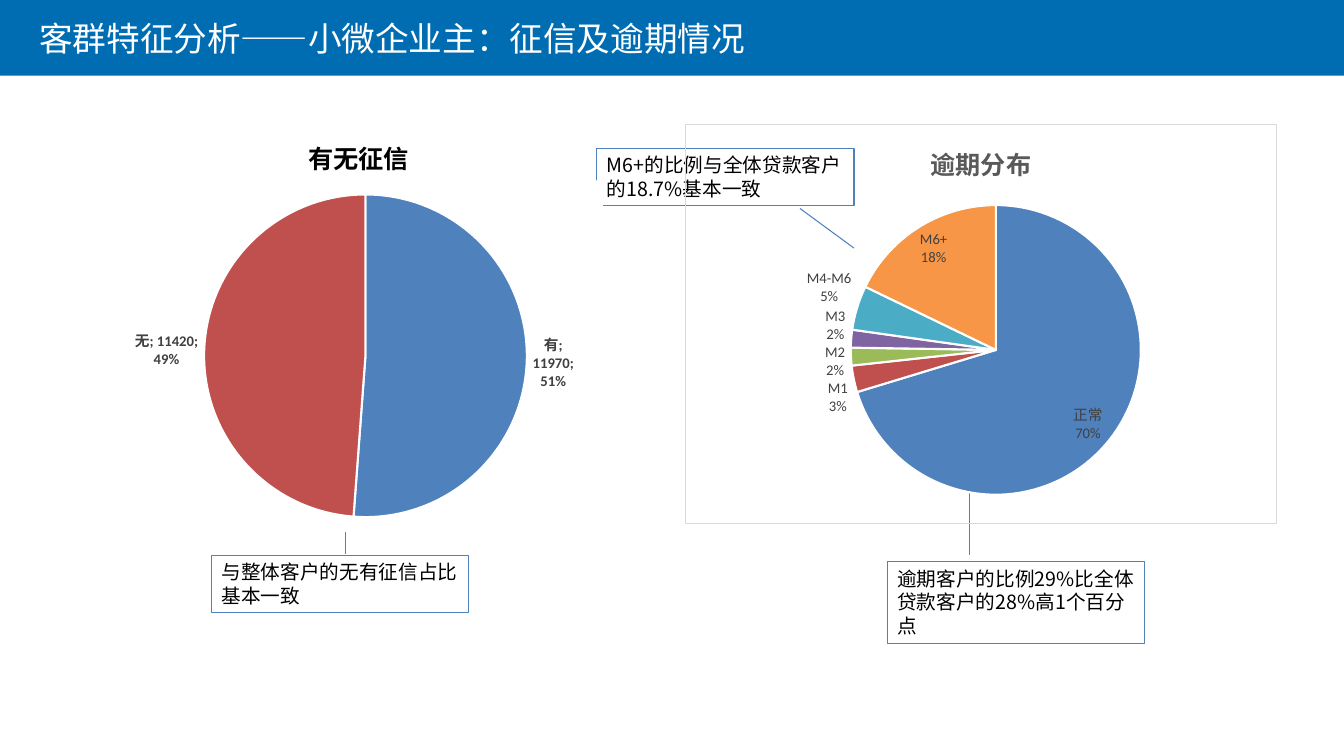
from dataclasses import dataclass

from lxml import etree
from pptx import Presentation
from pptx.chart.data import CategoryChartData
from pptx.dml.color import RGBColor
from pptx.enum.chart import XL_CHART_TYPE, XL_LABEL_POSITION
from pptx.enum.shapes import MSO_SHAPE
from pptx.enum.text import MSO_ANCHOR, PP_ALIGN
from pptx.oxml import parse_xml
from pptx.oxml.ns import nsdecls, qn
from pptx.util import Inches, Pt

CJK = "Noto Sans CJK SC"
LATIN = "Calibri"
COLORS = {
    "banner": "006DB2", "white": "FFFFFF", "black": "000000", "label": "404040",
    "title": "595959", "frame": "D9D9D9", "blue": "4F81BD", "red": "C0504D",
    "green": "9BBB59", "purple": "8064A2", "teal": "4BACC6", "orange": "F79646",
}
SLICES = ("blue", "red", "green", "purple", "teal", "orange")


@dataclass(frozen=True)
class Callout:
    text: str
    box: tuple[float, ...]
    pointer: tuple[float, ...]


@dataclass(frozen=True)
class Pie:
    box: tuple[float, ...]
    plot: tuple[float, ...]
    shares: dict[str, int]
    separator: str
    position: XL_LABEL_POSITION
    frame: str
    title: str = ""
    show_value: bool = False
    bold: bool = False
    offsets: tuple[tuple[int, float, float], ...] = ()


CALLOUTS = (
    Callout("M6+的比例与全体贷款客户的18.7%基本一致",
            (5.92, 1.47, 2.55, 0.57), (1.05, 0.79, 1.74, 1)),
    Callout("逾期客户的比例29%比全体贷款客户的28%高1个百分点",
            (8.8, 5.57, 2.55, 0.81), (-0.08, 0.32, -1.33, 0.32)),
    Callout("与整体客户的无有征信占比基本一致",
            (2.1, 5.51, 2.55, 0.57), (-0.03, 0.52, -0.41, 0.52)),
)
CREDIT_FRAME = f'<a:solidFill><a:srgbClr val="{COLORS["white"]}"/></a:solidFill><a:ln><a:noFill/></a:ln>'
OVERDUE_FRAME = (f'<a:noFill/><a:ln w="9525"><a:solidFill><a:srgbClr val="{COLORS["frame"]}"/>'
                 '</a:solidFill></a:ln>')
PIES = (
    Pie((0.97, 1.79, 5.01, 3.48), (0.21, 0.04, 0.64, 0.92), {"有": 11970, "无": 11420},
        "; ", XL_LABEL_POSITION.OUTSIDE_END, CREDIT_FRAME, show_value=True, bold=True),
    Pie((6.79, 1.23, 5.88, 3.97), (0.28, 0.2, 0.49, 0.73),
        {"正常": 71, "M1": 3, "M2": 2, "M3": 2, "M4-M6": 5, "M6+": 18},
        "\n", XL_LABEL_POSITION.BEST_FIT, OVERDUE_FRAME, title="逾期分布"),
)


def rgb(name: str) -> RGBColor:
    return RGBColor.from_string(COLORS[name])


def style(font, size: float, color: str, face: str, bold: bool = False) -> None:
    font.size, font.bold, font.name = Pt(size), bold, face
    font.color.rgb = rgb(color)


def write(shape, text: str, size: float, color: str, face: str = CJK,
          bold: bool = False, wrap: bool = True) -> None:
    frame = shape.text_frame
    frame.text = text
    frame.word_wrap = wrap
    frame.vertical_anchor = MSO_ANCHOR.TOP
    paragraph = frame.paragraphs[0]
    paragraph.alignment = PP_ALIGN.LEFT
    run = paragraph.runs[0]
    style(run.font, size, color, face, bold)
    east_asian = etree.SubElement(run.font._element, qn("a:ea"))
    east_asian.set("typeface", CJK)


def draw_callout(shapes, callout: Callout) -> None:
    note = shapes.add_shape(MSO_SHAPE.LINE_CALLOUT_1, *map(Inches, callout.box))
    note.shadow.inherit = False
    note.fill.background()
    note.line.color.rgb = rgb("blue")
    note.line.width = Pt(0.75)
    for index, value in enumerate(callout.pointer):
        note.adjustments[index] = value
    write(note, callout.text, 14, "black")


def draw_pie(shapes, pie: Pie) -> None:
    data = CategoryChartData()
    data.categories = list(pie.shares)
    data.add_series("Series 1", list(pie.shares.values()))
    chart = shapes.add_chart(XL_CHART_TYPE.PIE, *map(Inches, pie.box), data).chart
    style(chart.font, 10, "black", LATIN)
    chart.has_legend = False
    chart.has_title = bool(pie.title)
    if pie.title:
        heading = chart.chart_title.text_frame
        heading.text = pie.title
        style(heading.paragraphs[0].runs[0].font, 18, "title", LATIN, True)

    plot = chart.plots[0]
    plot.vary_by_categories = True
    series = plot.series[0]
    for index, color in zip(range(len(pie.shares)), SLICES):
        piece = series.points[index].format
        piece.fill.solid()
        piece.fill.fore_color.rgb = rgb(color)
        piece.line.color.rgb = rgb("white")
        piece.line.width = Pt(1.5)

    labels = series.data_labels
    style(labels.font, 10.5, "label", LATIN, pie.bold)
    labels.show_category_name = labels.show_percentage = True
    labels.show_value = pie.show_value
    labels.position = pie.position
    separator = etree.Element(qn("c:separator"))
    separator.text = pie.separator
    labels._element.find(qn("c:showBubbleSize")).addnext(separator)

    area = chart._chartSpace.chart.plotArea
    for layout in area.findall(qn("c:layout")):
        area.remove(layout)
    sizes = "".join(f'<c:{key} val="{value}"/>' for key, value in zip("xywh", pie.plot))
    area.insert(0, parse_xml(
        f'<c:layout {nsdecls("c")}><c:manualLayout><c:layoutTarget val="inner"/>'
        f'<c:xMode val="edge"/><c:yMode val="edge"/>{sizes}</c:manualLayout></c:layout>'))
    chart._chartSpace.chart.addnext(
        parse_xml(f'<c:spPr {nsdecls("c", "a")}>{pie.frame}</c:spPr>'))


def main() -> None:
    """Build the slide on credit records and overdue loans of small business owners."""
    deck = Presentation()
    deck.slide_width, deck.slide_height = Inches(13.33), Inches(7.5)
    shapes = deck.slides.add_slide(deck.slide_layouts[6]).shapes

    banner = shapes.add_shape(MSO_SHAPE.RECTANGLE, 0, 0, deck.slide_width, Inches(0.75))
    banner.shadow.inherit = False
    banner.fill.solid()
    banner.fill.fore_color.rgb = rgb("banner")
    banner.line.fill.background()

    headline = shapes.add_textbox(*map(Inches, (0.29, 0.13, 9.61, 0.5)))
    write(headline, "客群特征分析——小微企业主：征信及逾期情况", 24, "white")
    for callout in CALLOUTS[:2]:
        draw_callout(shapes, callout)
    credit_title = shapes.add_textbox(*map(Inches, (2.96, 1.37, 1.21, 0.4)))
    write(credit_title, "有无征信", 18, "black", LATIN, bold=True, wrap=False)
    draw_callout(shapes, CALLOUTS[2])
    for pie in PIES:
        draw_pie(shapes, pie)
    deck.save("out.pptx")


if __name__ == "__main__":
    main()
